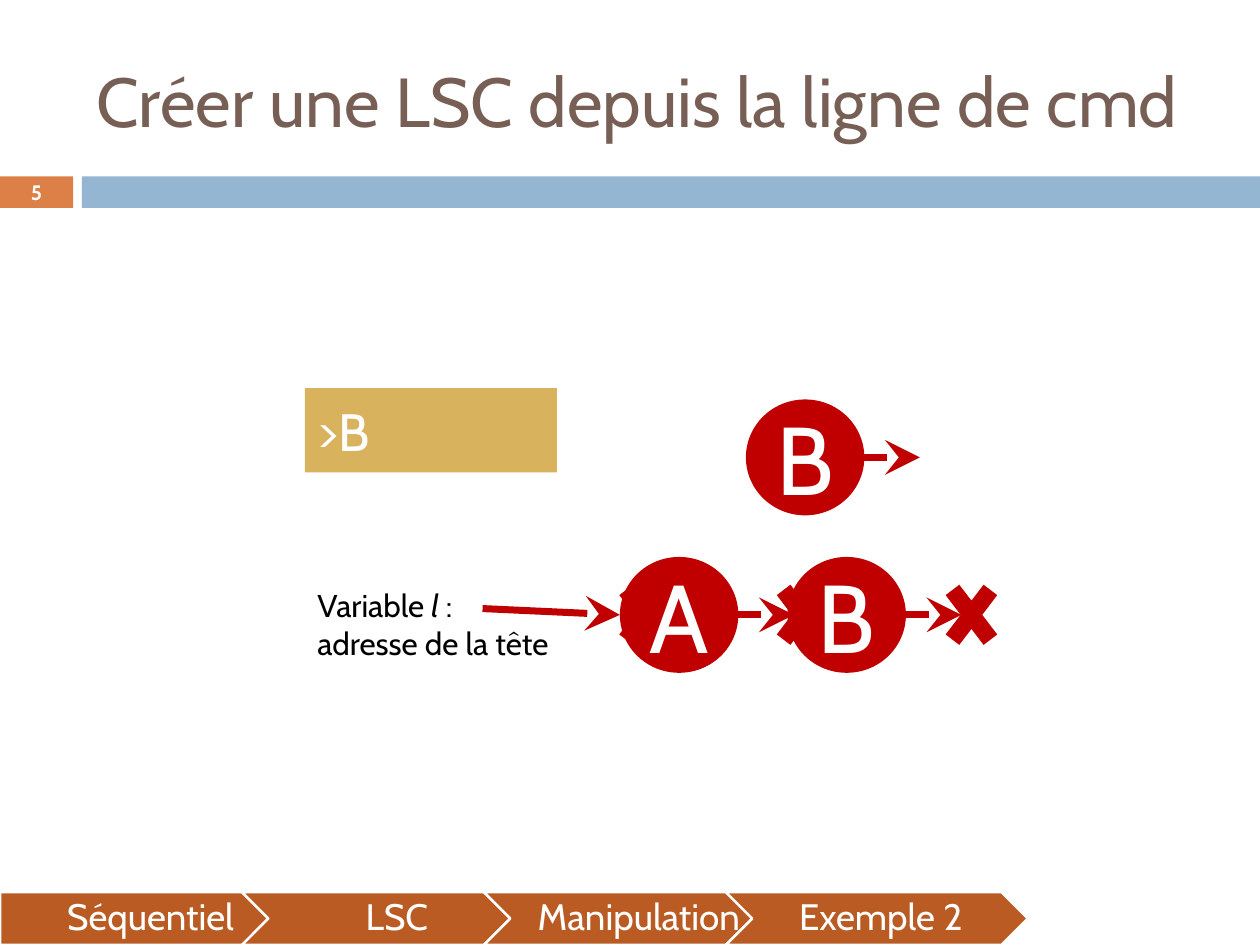
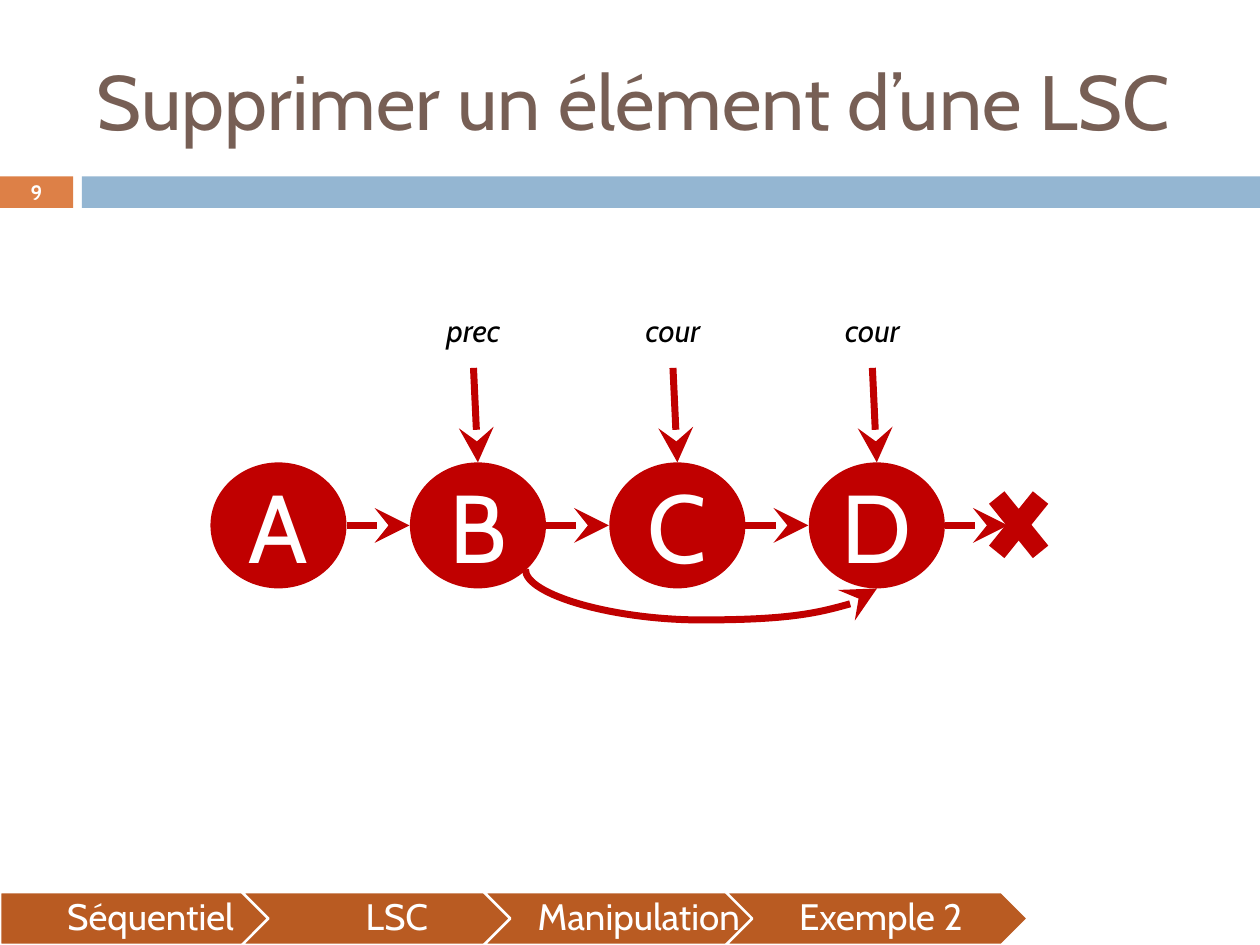
from lxml.etree import SubElement
from pptx import Presentation
from pptx.dml.color import RGBColor
from pptx.enum.shapes import MSO_CONNECTOR, MSO_SHAPE
from pptx.enum.text import MSO_ANCHOR, PP_ALIGN
from pptx.oxml.ns import qn
from pptx.util import Inches, Pt

COLOURS = {
    "title": "775F55",
    "number": "DD8047",
    "band": "94B6D2",
    "step": "B95B22",
    "list": "C00000",
    "prompt": "D8B25C",
    "white": "FFFFFF",
    "black": "000000",
}
FONT = "Cabin"
STEPS = ["Séquentiel", "LSC", "Manipulation", "Exemple 2"]
STEP_PITCH, STEP_TOP, STEP_WIDTH, STEP_HEIGHT = 1.92, 7.08, 2.4, 0.42


def colour(name):
    """Return the named colour."""
    return RGBColor.from_string(COLOURS[name])


def apply_format(target, values):
    """Set each attribute of target from a dict."""
    for name, value in values.items():
        setattr(target, name, value)


def write(box, paragraphs, size, ink, align=PP_ALIGN.CENTER,
          anchor=MSO_ANCHOR.MIDDLE, spacing=None, insets=None, **style):
    """Fill a box with paragraphs, each a list of (text, italic) spans."""
    frame = box.text_frame
    apply_format(frame, {"word_wrap": True, "vertical_anchor": anchor})
    apply_format(frame, {f"margin_{side}": Inches(inset)
                         for side, inset in (insets or {}).items()})
    for index, spans in enumerate(paragraphs):
        para = frame.add_paragraph() if index else frame.paragraphs[0]
        apply_format(para, {"alignment": align, "line_spacing": spacing})
        for text, italic in spans:
            span = para.add_run()
            span.text = text
            apply_format(span.font, {"name": FONT, "size": Pt(size),
                                     "italic": italic, **style})
            span.font.color.rgb = colour(ink)


def add_text(page, place, paragraphs, size, ink, **options):
    """Add a text box at (left, top, width, height)."""
    box = page.shapes.add_textbox(*map(Inches, place))
    write(box, paragraphs, size, ink, **options)


def add_figure(page, kind, place, fill, outline=None):
    """Add a flat preset shape, with a thin outline if one is named."""
    figure = page.shapes.add_shape(kind, *map(Inches, place))
    figure.shadow.inherit = False
    figure.fill.solid()
    figure.fill.fore_color.rgb = colour(fill)
    if outline:
        figure.line.color.rgb = colour(outline)
        figure.line.width = Pt(1.5)
    else:
        figure.line.fill.background()
    return figure


def add_arrow(page, start, end, kind=MSO_CONNECTOR.STRAIGHT):
    """Add a thick red arrow between two points."""
    arrow = page.shapes.add_connector(kind, *map(Inches, (*start, *end)))
    arrow.line.color.rgb = colour("list")
    arrow.line.width = Pt(4)
    properties = arrow._element.spPr
    SubElement(properties.find(qn("a:ln")), qn("a:tailEnd"),
               type="stealth", w="lg", len="lg")
    SubElement(properties, qn("a:effectLst"))
    return arrow


def add_bypass(page, start, end, dip):
    """Add a curved arrow that dips below both of its ends."""
    (x1, y1), (x2, y2) = start, end
    width, height = y2 - y1, x2 - x1
    arrow = add_arrow(page, start, end, MSO_CONNECTOR.CURVE)
    apply_format(arrow, {
        "left": Inches((x1 + x2 - width) / 2),
        "top": Inches((y1 + y2 - height) / 2),
        "width": Inches(width),
        "height": Inches(height),
    })
    properties = arrow._element.spPr
    frame = properties.find(qn("a:xfrm"))
    frame.set("rot", str(270 * 60000))
    frame.set("flipH", "1")
    guides = properties.find(qn("a:prstGeom")).find(qn("a:avLst"))
    SubElement(guides, qn("a:gd"), name="adj1",
               fmla=f"val {round(dip / width * 100000)}")


def add_node(page, letter, place, reach, kind=MSO_CONNECTOR.STRAIGHT):
    """Add a list element and its arrow to the next one."""
    left, top, width, height = place
    disc = add_figure(page, MSO_SHAPE.OVAL, place, "list")
    write(disc, [[(letter, False)]], 55, "white")
    right, middle = left + width, top + height / 2
    add_arrow(page, (right, middle), (right + reach, middle), kind)
    return disc


def add_cross(page, place):
    """Add the mark for the end of a list."""
    add_figure(page, MSO_SHAPE.MATH_MULTIPLY, place, "list")


def add_pointer(page, name, disc, left):
    """Add a named pointer above a list element."""
    label_left, width = left - 0.08, 1.17
    add_text(page, (label_left, 2.42, width, 0.4), [[(name, True)]], 18,
             "black", anchor=MSO_ANCHOR.TOP)
    arrow = add_arrow(page, (label_left + width / 2, 2.92), (left + 0.54, 3.67))
    arrow.end_connect(disc, 0)


def add_steps(page):
    """Add the row of chapter arrows at the foot."""
    for index, step in enumerate(STEPS):
        left = index * STEP_PITCH
        kind = MSO_SHAPE.CHEVRON if index else MSO_SHAPE.PENTAGON
        add_figure(page, kind, (left, STEP_TOP, STEP_WIDTH, STEP_HEIGHT),
                   "step", "white")
        text_left, width, inset = (left + 0.21, 1.98, 0.09) if index else (0, 2.3, 0.12)
        add_text(page, (text_left, STEP_TOP, width, STEP_HEIGHT),
                 [[(step, False)]], 21, "white", spacing=0.9,
                 insets={"left": inset, "top": 0.06, "right": 0.03, "bottom": 0.06})


def add_page(deck, title, size, number):
    """Add a slide with its title, bands, number and chapter arrows."""
    page = deck.slides.add_slide(deck.slide_layouts[6])
    add_figure(page, MSO_SHAPE.RECTANGLE, (0, 1.4, 0.58, 0.25), "number")
    add_figure(page, MSO_SHAPE.RECTANGLE, (0.65, 1.4, 9.35, 0.25), "band")
    add_text(page, (0.67, 0.25, 8.92, 1.08), [[(title, False)]], size, "title",
             align=PP_ALIGN.LEFT)
    add_steps(page)
    add_text(page, (0, 1.39, 0.58, 0.27), [[(number, False)]], 11.9, "white",
             bold=True)
    return page


def add_creation_page(deck):
    """Show a list built from typed letters."""
    page = add_page(deck, "Créer une LSC depuis la ligne de cmd", 39.6, "5")
    for left in (4.83, 6.08, 7.42):
        add_cross(page, (left, 4.5, 0.58, 0.76))
    add_arrow(page, (3.83, 4.83), (4.92, 4.88))
    add_text(page, (2.42, 4.6, 2.17, 0.71),
             [[("Variable ", False), ("l", True), (" :", False)],
              [("adresse de la tête", False)]],
             18, "black", align=PP_ALIGN.LEFT, anchor=MSO_ANCHOR.TOP)
    prompt = add_figure(page, MSO_SHAPE.RECTANGLE, (2.42, 3.08, 2, 0.67), "prompt")
    write(prompt, [[(">B", False)]], 30, "white", align=PP_ALIGN.LEFT)
    for letter, left, top in (("A", 4.92, 4.42), ("B", 5.92, 3.17), ("B", 6.25, 4.42)):
        add_node(page, letter, (left, top, 0.94, 0.92), 0.44)


def add_deletion_page(deck):
    """Show a list element being bypassed."""
    page = add_page(deck, "Supprimer un élément d’une LSC", 44, "9")
    pointers = {"B": "prec", "C": "cour", "D": "cour"}
    for index, letter in enumerate("ABCD"):
        left = 1.67 + index * 1.583
        kind = MSO_CONNECTOR.CURVE if letter == "B" else MSO_CONNECTOR.STRAIGHT
        disc = add_node(page, letter, (left, 3.67, 1.08, 1), 0.5, kind)
        if letter in pointers:
            add_pointer(page, pointers[letter], disc, left)
    add_cross(page, (7.75, 3.75, 0.67, 0.83))
    add_bypass(page, (4.17, 4.52), (6.96, 4.67), 0.4)


def main():
    """Build the deck and save it."""
    deck = Presentation()
    apply_format(deck, {"slide_width": Inches(10), "slide_height": Inches(7.5)})
    add_creation_page(deck)
    add_deletion_page(deck)
    deck.save("out.pptx")


if __name__ == "__main__":
    main()
